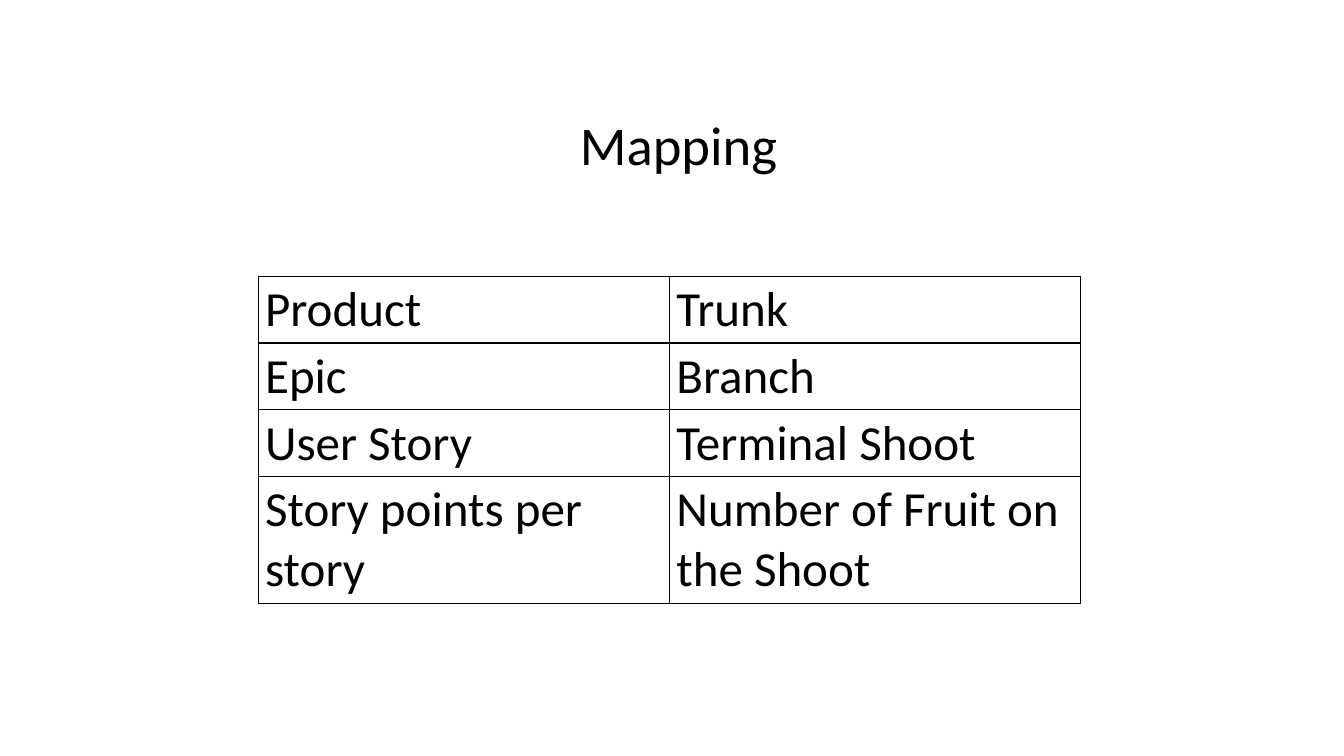
from dataclasses import dataclass

from lxml.etree import SubElement
from pptx import Presentation
from pptx.dml.color import RGBColor
from pptx.enum.text import MSO_ANCHOR, PP_ALIGN
from pptx.oxml.ns import qn
from pptx.slide import Slide
from pptx.table import _Cell
from pptx.text.text import TextFrame
from pptx.util import Inches, Pt


@dataclass(frozen=True)
class Theme:
    font: str = "Calibri"
    ink: str = "000000"
    paper: str = "FFFFFF"
    title_size: float = 39
    cell_size: float = 35
    border: float = 1


@dataclass(frozen=True)
class Mapping:
    agile: str
    tree: str
    height: float  # inches


THEME = Theme()
WIDTH, HEIGHT = Inches(13.33), Inches(7.5)
MAPPINGS = [
    Mapping("Product", "Trunk", 0.65),
    Mapping("Epic", "Branch", 0.65),
    Mapping("User Story", "Terminal Shoot", 0.65),
    Mapping("Story points per story", "Number of Fruit on the Shoot", 1.23),
]


def across(inches: float) -> int:
    """Length as a share of the slide's width."""
    return round(WIDTH * inches / 13.33)


def down(inches: float) -> int:
    """Length as a share of the slide's height."""
    return round(HEIGHT * inches / 7.5)


def set_all(target: object, values: dict) -> None:
    for name, value in values.items():
        setattr(target, name, value)


def write(tf: TextFrame, text: str, size: float, align: PP_ALIGN) -> None:
    p = tf.paragraphs[0]
    p.alignment = align
    r = p.add_run()
    r.text = text
    set_all(r.font, {"name": THEME.font, "size": Pt(size), "bold": False})
    r.font.color.rgb = RGBColor.from_string(THEME.ink)


def add_borders(cell: _Cell) -> None:
    tc_pr = cell._tc.get_or_add_tcPr()
    for side in ("lnL", "lnR", "lnT", "lnB"):
        ln = SubElement(tc_pr, qn(f"a:{side}"), w=str(Pt(THEME.border)))
        fill = SubElement(ln, qn("a:solidFill"))
        SubElement(fill, qn("a:srgbClr"), val=THEME.ink)


def add_title(s: Slide, text: str) -> None:
    sp = s.shapes.title
    set_all(sp, {"left": across(0.52), "top": down(1.05),
                 "width": across(12.42), "height": down(0.76)})
    tf = sp.text_frame
    set_all(tf, {"word_wrap": True, "vertical_anchor": MSO_ANCHOR.MIDDLE})
    write(tf, text, THEME.title_size, PP_ALIGN.CENTER)


def add_mapping_table(s: Slide, mappings: list[Mapping]) -> None:
    total = sum(m.height for m in mappings)
    table = s.shapes.add_table(len(mappings), 2, across(2.56), down(2.74),
                               across(8.16), down(total)).table
    set_all(table, {"first_row": False, "horz_banding": False})
    margins = {"margin_left": Pt(5), "margin_right": Pt(5),
               "margin_top": Pt(2.5), "margin_bottom": Pt(2.5)}
    for row, m in zip(table.rows, mappings):
        row.height = down(m.height)
        for cell, text in zip(row.cells, (m.agile, m.tree)):
            set_all(cell, margins)
            add_borders(cell)
            cell.fill.solid()
            cell.fill.fore_color.rgb = RGBColor.from_string(THEME.paper)
            write(cell.text_frame, text, THEME.cell_size, PP_ALIGN.LEFT)


def main() -> None:
    prs = Presentation()
    set_all(prs, {"slide_width": WIDTH, "slide_height": HEIGHT})
    s = prs.slides.add_slide(prs.slide_layouts.get_by_name("Title Only"))

    # Heading
    add_title(s, "Mapping")

    # Agile terms beside the parts of a tree
    add_mapping_table(s, MAPPINGS)

    prs.save("out.pptx")


if __name__ == "__main__":
    main()
